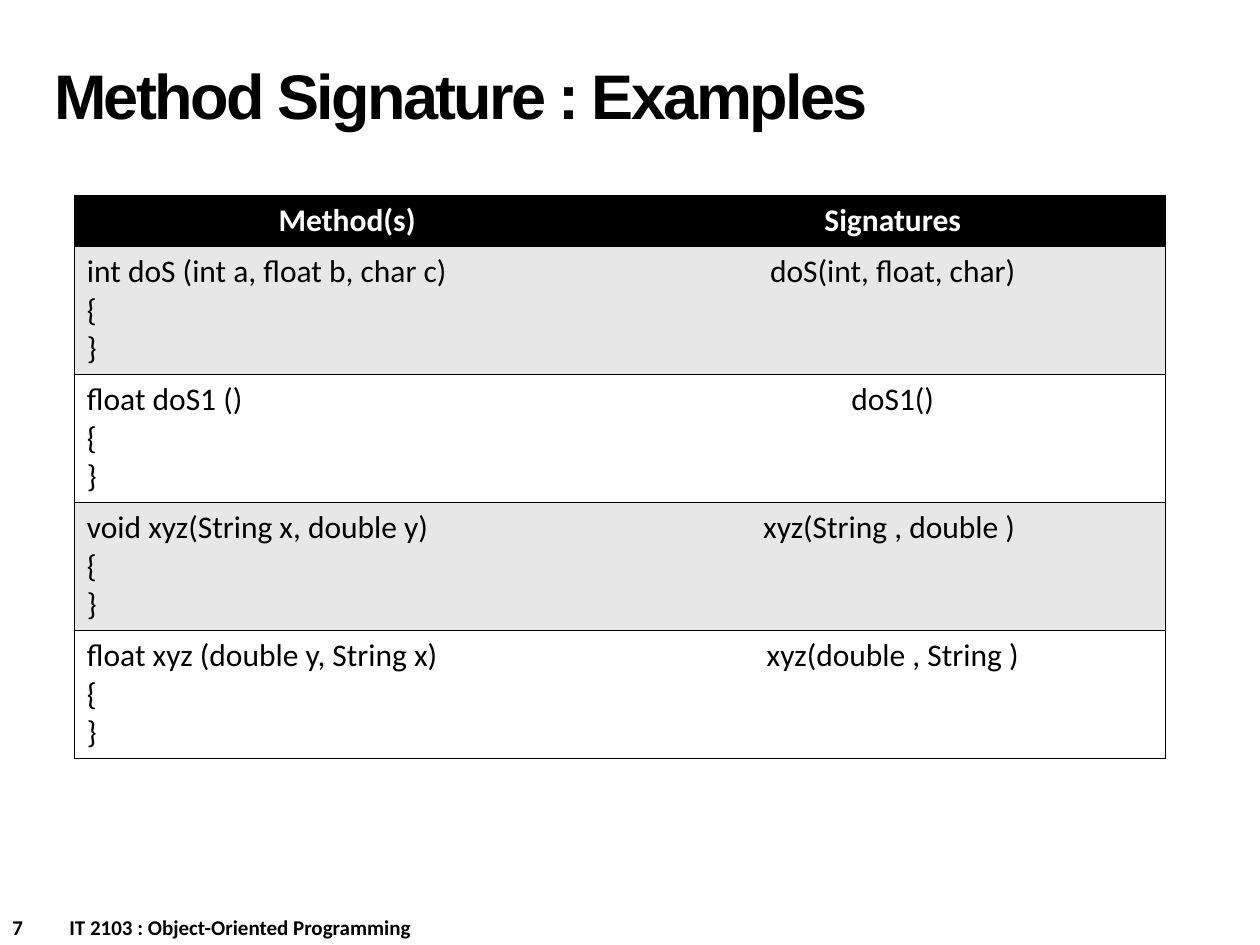
from lxml import etree
from pptx import Presentation
from pptx.dml.color import RGBColor
from pptx.enum.text import MSO_ANCHOR, PP_ALIGN
from pptx.oxml.ns import qn
from pptx.util import Pt

MIDDLE = MSO_ANCHOR.MIDDLE
LEFT, CENTER = PP_ALIGN.LEFT, PP_ALIGN.CENTER

# Content
TITLE = "Method Signature : Examples"
PAGE_NUMBER, COURSE = "7", "IT 2103 : Object-Oriented Programming"
HEADINGS = ("Method(s)", "Signatures")
METHODS = [
    ("int doS (int a, float b, char c)", "doS(int, float, char)"),
    ("float doS1 ()", "doS1()"),
    ("void xyz(String x, double y)", "xyz(String , double ) "),
    ("float xyz (double y, String x)", "xyz(double , String )"),
]
BODY = "\n{\n}"

# Layout and colours
TABLE_LEFT, TABLE_TOP = 42.5, 111.6
COLUMN_WIDTH, HEADER_HEIGHT, METHOD_HEIGHT = 311.8, 29.2, 73.15
BLACK, WHITE, GREY = "000000", "FFFFFF", "E7E7E7"


def color(hex_value):
    return RGBColor.from_string(hex_value)


def set_font(paragraph, name, size, bold, hex_value):
    font = paragraph.font
    font.name, font.size, font.bold = name, Pt(size), bold
    font.color.rgb = color(hex_value)


def add_text(slide, left, top, width, height, text, font_name, size):
    frame = slide.shapes.add_textbox(Pt(left), Pt(top), Pt(width), Pt(height)).text_frame
    frame.word_wrap = True
    line = frame.paragraphs[0]
    line.text = text
    set_font(line, font_name, size, True, BLACK)
    return frame


def set_borders(cell, sides):
    properties = cell._tc.get_or_add_tcPr()
    for side in "LRTB":
        border = etree.SubElement(properties, qn(f"a:ln{side}"), w=str(Pt(1)))
        if side in sides:
            fill = etree.SubElement(border, qn("a:solidFill"))
            etree.SubElement(fill, qn("a:srgbClr"), val=BLACK)
        else:
            etree.SubElement(border, qn("a:noFill"))


def fill_cell(cell, text, sides, background, text_color, bold, alignment):
    set_borders(cell, sides)
    cell.fill.solid()
    cell.fill.fore_color.rgb = color(background)
    cell.text = text
    for line in cell.text_frame.paragraphs:
        line.alignment = alignment
        set_font(line, "Calibri", 18, bold, text_color)


def main():
    deck = Presentation()
    deck.slide_width, deck.slide_height = Pt(720), Pt(540)
    slide = deck.slides.add_slide(deck.slide_layouts[6])

    # Footer: a tab stop separates page number and course
    footer = add_text(slide, 0, 519, 360, 21.6, f"{PAGE_NUMBER}\t{COURSE}", "Calibri", 12)
    footer_properties = footer.paragraphs[0]._p.get_or_add_pPr()
    tabs = etree.Element(qn("a:tabLst"))
    etree.SubElement(tabs, qn("a:tab"), pos=str(Pt(32.6)), algn="l")
    footer_properties.insert(0, tabs)

    # Title with tightened letters
    title = add_text(slide, 23.8, 12.2, 498.2, 90, TITLE, "Arial", 36)
    title.vertical_anchor = MIDDLE
    title.paragraphs[0].line_spacing = Pt(36)
    title.paragraphs[0].runs[0].font._element.set("spc", "-150")

    # Table of methods and their signatures
    rows = [HEADINGS] + [(method + BODY, signature) for method, signature in METHODS]
    heights = [HEADER_HEIGHT] + [METHOD_HEIGHT] * len(METHODS)
    table = slide.shapes.add_table(
        len(rows), len(HEADINGS), Pt(TABLE_LEFT), Pt(TABLE_TOP),
        Pt(COLUMN_WIDTH * len(HEADINGS)), Pt(sum(heights))).table
    for column in table.columns:
        column.width = Pt(COLUMN_WIDTH)
    for r, (texts, height) in enumerate(zip(rows, heights)):
        table.rows[r].height = Pt(height)
        is_header = r == 0
        background = BLACK if is_header else GREY if r % 2 else WHITE
        text_color = WHITE if is_header else BLACK
        for c, text in enumerate(texts):
            alignment = CENTER if is_header or c == 1 else LEFT
            fill_cell(table.cell(r, c), text, ("LTB", "RTB")[c],
                      background, text_color, is_header, alignment)

    deck.save("out.pptx")


if __name__ == "__main__":
    main()
